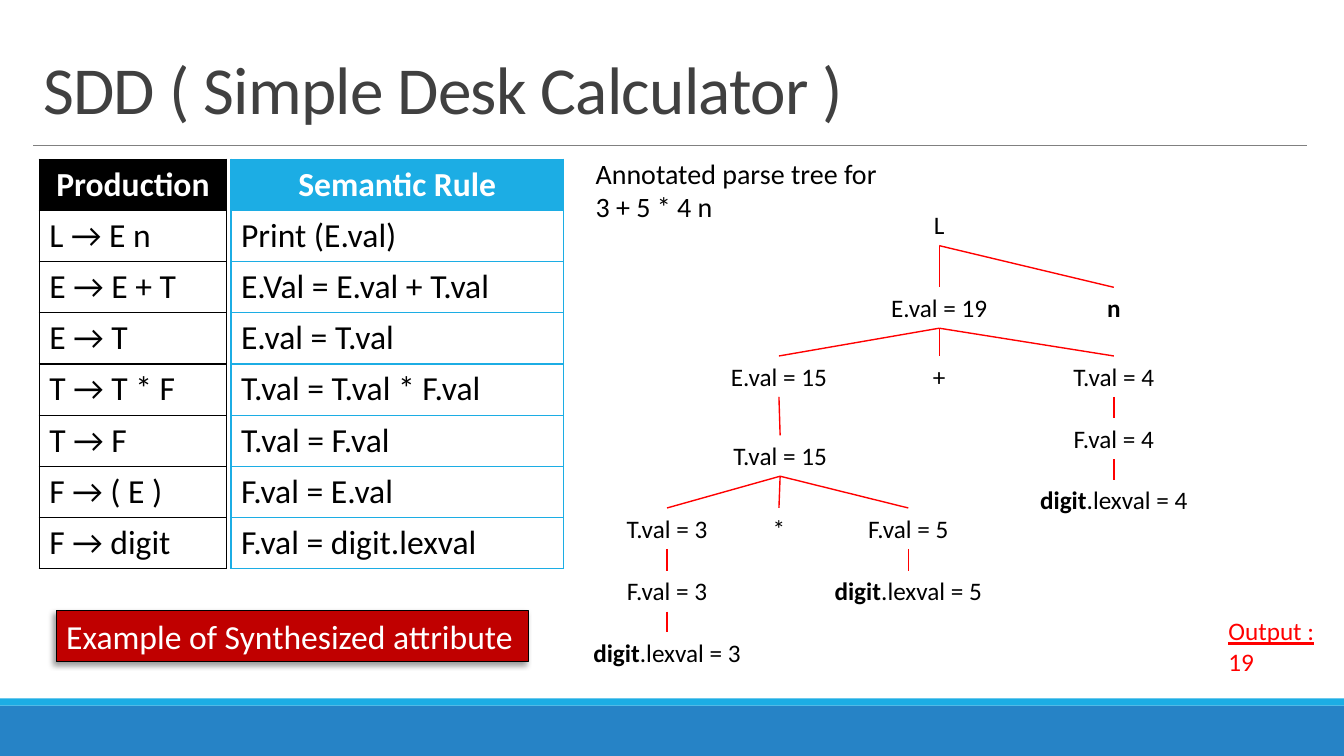
from lxml.etree import SubElement
from pptx import Presentation
from pptx.dml.color import RGBColor
from pptx.enum.shapes import MSO_CONNECTOR, MSO_SHAPE
from pptx.enum.text import MSO_ANCHOR, MSO_AUTO_SIZE, PP_ALIGN
from pptx.oxml.ns import qn
from pptx.util import Cm, Pt

BLACK = RGBColor(0x00, 0x00, 0x00)
WHITE = RGBColor(0xFF, 0xFF, 0xFF)
RED = RGBColor(0xFF, 0x00, 0x00)
DARK_RED = RGBColor(0xC0, 0x00, 0x00)
DARK_GREY = RGBColor(0x40, 0x40, 0x40)
GREY = RGBColor(0x80, 0x80, 0x80)
CYAN = RGBColor(0x1C, 0xAD, 0xE4)
BLUE = RGBColor(0x26, 0x83, 0xC6)

TITLE = {"size": Pt(48), "color": DARK_GREY}
HEADER = {"size": Pt(24), "color": WHITE, "bold": True}
BODY = {"size": Pt(24), "color": BLACK, "bold": False}
BANNER = {"size": Pt(24), "color": WHITE}
CAPTION = {"size": Pt(20), "color": BLACK}
NODE = {"size": Pt(18), "color": BLACK, "bold": False}
TERMINAL = {**NODE, "bold": True}
OUTPUT = {"size": Pt(18), "color": RED}

PRODUCTIONS = ["Production", "L → E n", "E → E + T", "E → T", "T → T * F",
               "T → F", "F → ( E )", "F → digit"]
RULES = ["Semantic Rule", "Print (E.val)", "E.Val = E.val + T.val", "E.val = T.val",
         "T.val = T.val * F.val", "T.val = F.val", "F.val = E.val", "F.val = digit.lexval"]

NARROW, MEDIUM, WIDE = 1.22, 3.25, 4.88
NODE_HEIGHT = 1.03
TREE = [
    ("root", None, 23.67, 5.16, NARROW, "", "L"),
    ("sum", "root", 23.67, 7.24, MEDIUM, "", "E.val = 19"),
    ("end", "root", 28.07, 7.24, NARROW, "n", ""),
    ("product", "sum", 19.63, 8.97, MEDIUM, "", "E.val = 15"),
    ("plus", "sum", 23.67, 8.97, NARROW, "", "+"),
    ("term4", "sum", 28.07, 8.97, MEDIUM, "", "T.val = 4"),
    ("factor4", "term4", 28.07, 10.54, MEDIUM, "", "F.val = 4"),
    ("digit4", "factor4", 28.07, 12.09, WIDE, "digit", ".lexval = 4"),
    ("term15", "product", 19.66, 10.97, MEDIUM, "", "T.val = 15"),
    ("term3", "term15", 16.81, 12.8, MEDIUM, "", "T.val = 3"),
    ("times", "term15", 19.63, 12.8, NARROW, "", "*"),
    ("factor5", "term15", 22.89, 12.8, MEDIUM, "", "F.val = 5"),
    ("factor3", "term3", 16.81, 14.38, MEDIUM, "", "F.val = 3"),
    ("digit5", "factor5", 22.89, 14.38, WIDE, "digit", ".lexval = 5"),
    ("digit3", "factor3", 16.81, 15.93, WIDE, "digit", ".lexval = 3"),
]


def add_run(p, text, fmt):
    r = p.add_run()
    r.text = text
    for name, value in {"name": "Calibri", **fmt}.items():
        if name == "color":
            r.font.color.rgb = value
        else:
            setattr(r.font, name, value)
    return r


def fill_text(tf, paragraphs, align=PP_ALIGN.LEFT):
    for i, runs in enumerate(paragraphs):
        p = tf.add_paragraph() if i else tf.paragraphs[0]
        p.alignment = align
        for text, fmt in runs:
            add_run(p, text, fmt)


def add_text(s, box, paragraphs, align=PP_ALIGN.LEFT, wrap=True, grow=True):
    sp = s.shapes.add_textbox(*map(Cm, box))
    tf = sp.text_frame
    tf.word_wrap = wrap
    tf.auto_size = MSO_AUTO_SIZE.SHAPE_TO_FIT_TEXT if grow else MSO_AUTO_SIZE.NONE
    fill_text(tf, paragraphs, align)
    return sp


def add_rect(s, box, color):
    sp = s.shapes.add_shape(MSO_SHAPE.RECTANGLE, *map(Cm, box))
    sp.shadow.inherit = False
    sp.fill.solid()
    sp.fill.fore_color.rgb = color
    sp.line.fill.background()
    return sp


def add_line(s, ends, color, width):
    line = s.shapes.add_connector(MSO_CONNECTOR.STRAIGHT, *map(Cm, ends))
    line.line.color.rgb = color
    line.line.width = Pt(width)
    SubElement(line._element.spPr, qn("a:effectLst"))
    return line


def add_title(s, text):
    sp = add_text(s, (0.84, 0.79, 32.1, 2.57), [[(text, TITLE)]], grow=False)
    tf = sp.text_frame
    tf.vertical_anchor = MSO_ANCHOR.BOTTOM
    p = tf.paragraphs[0]
    p.line_spacing = 0.85
    p.runs[0].font._element.set("spc", "-50")


def set_borders(cell, color):
    tc_pr = cell._tc.get_or_add_tcPr()
    for side in ("a:lnL", "a:lnR", "a:lnT", "a:lnB"):
        ln = SubElement(tc_pr, qn(side), w=str(Pt(1)))
        fill = SubElement(ln, qn("a:solidFill"))
        SubElement(fill, qn("a:srgbClr"), val=str(color))


def add_column_table(s, left, width, texts, color):
    box = (left, 4.01, width, 1.29 * len(texts))
    table = s.shapes.add_table(len(texts), 1, *map(Cm, box)).table
    table.horz_banding = False
    for i, text in enumerate(texts):
        cell = table.cell(i, 0)
        set_borders(cell, color)
        if i:
            cell.fill.background()
            fill_text(cell.text_frame, [[(text, BODY)]])
        else:
            cell.fill.solid()
            cell.fill.fore_color.rgb = color
            fill_text(cell.text_frame, [[(text, HEADER)]], PP_ALIGN.CENTER)


def add_tree(s):
    nodes = {}
    for key, parent, center, top, width, strong, plain in TREE:
        runs = [(text, fmt) for text, fmt in ((strong, TERMINAL), (plain, NODE)) if text]
        box = (center - width / 2, top, width, NODE_HEIGHT)
        nodes[key] = add_text(s, box, [runs], PP_ALIGN.CENTER)
        if parent:
            line = add_line(s, (0, 0, 0, 0), RED, 1)
            line.begin_connect(nodes[parent], 2)
            line.end_connect(nodes[key], 0)


def add_banner(s, text):
    sp = add_rect(s, (1.42, 15.39, 11.89, 1.28), DARK_RED)
    sp.line.color.rgb = BLACK
    sp.line.width = Pt(0.75)
    effects = sp._element.spPr.find(qn("a:effectLst"))
    shadow = SubElement(effects, qn("a:outerShdw"), blurRad=str(Pt(4)), dist=str(Pt(3)),
                        dir=str(135 * 60000), algn="tr", rotWithShape="0")
    color = SubElement(shadow, qn("a:srgbClr"), val=str(BLACK))
    SubElement(color, qn("a:alpha"), val="40000")
    tf = sp.text_frame
    tf.word_wrap = False
    tf.auto_size = MSO_AUTO_SIZE.SHAPE_TO_FIT_TEXT
    tf.vertical_anchor = MSO_ANCHOR.TOP
    fill_text(tf, [[(text, BANNER)]])


def main():
    prs = Presentation()
    prs.slide_width, prs.slide_height = Cm(33.87), Cm(19.05)
    s = prs.slides.add_slide(prs.slide_layouts[6])
    add_rect(s, (0, 17.78, 33.87, 1.27), BLUE)
    add_rect(s, (0, 17.6, 33.87, 0.18), CYAN)
    add_line(s, (0.84, 3.66, 32.94, 3.66), GREY, 0.5)
    add_title(s, "SDD ( Simple Desk Calculator )")
    add_column_table(s, 0.99, 4.72, PRODUCTIONS, BLACK)
    add_column_table(s, 5.82, 8.38, RULES, CYAN)
    add_text(s, (14.76, 3.81, 7.67, 1.96),
             [[("Annotated parse tree for", CAPTION)], [("3 + 5 * 4 n", CAPTION)]], wrap=False)
    add_text(s, (30.71, 15.39, 2.69, 1.8),
             [[("Output :", {**OUTPUT, "underline": True})], [("19", OUTPUT)]], wrap=False)
    add_tree(s)
    add_banner(s, "Example of Synthesized attribute")
    prs.save("out.pptx")


if __name__ == "__main__":
    main()
